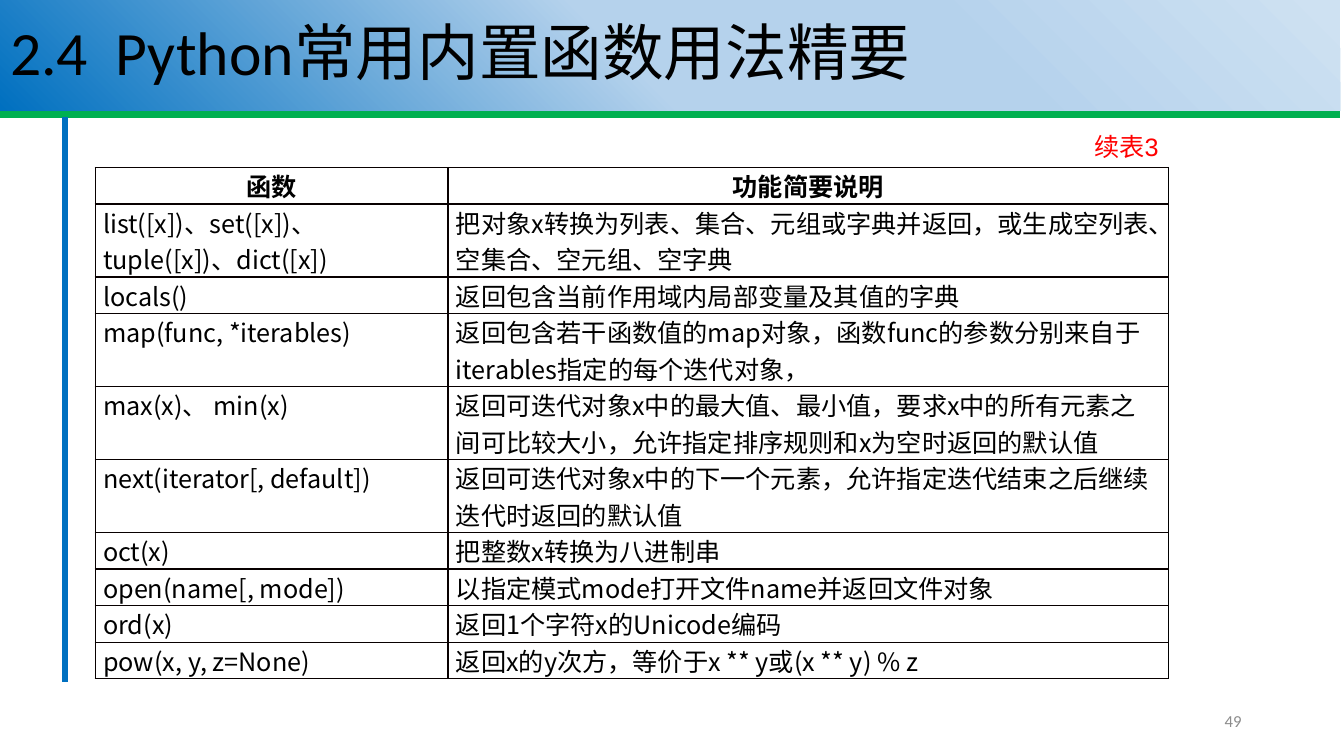
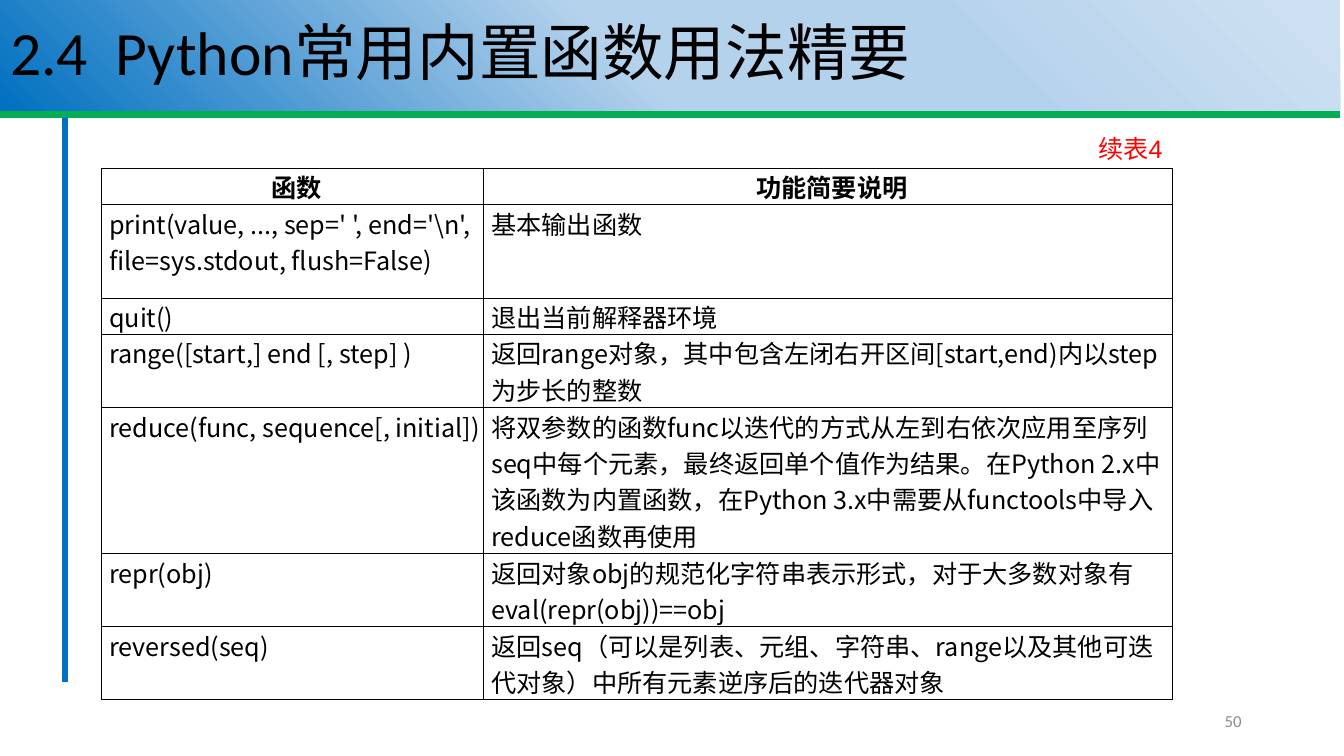
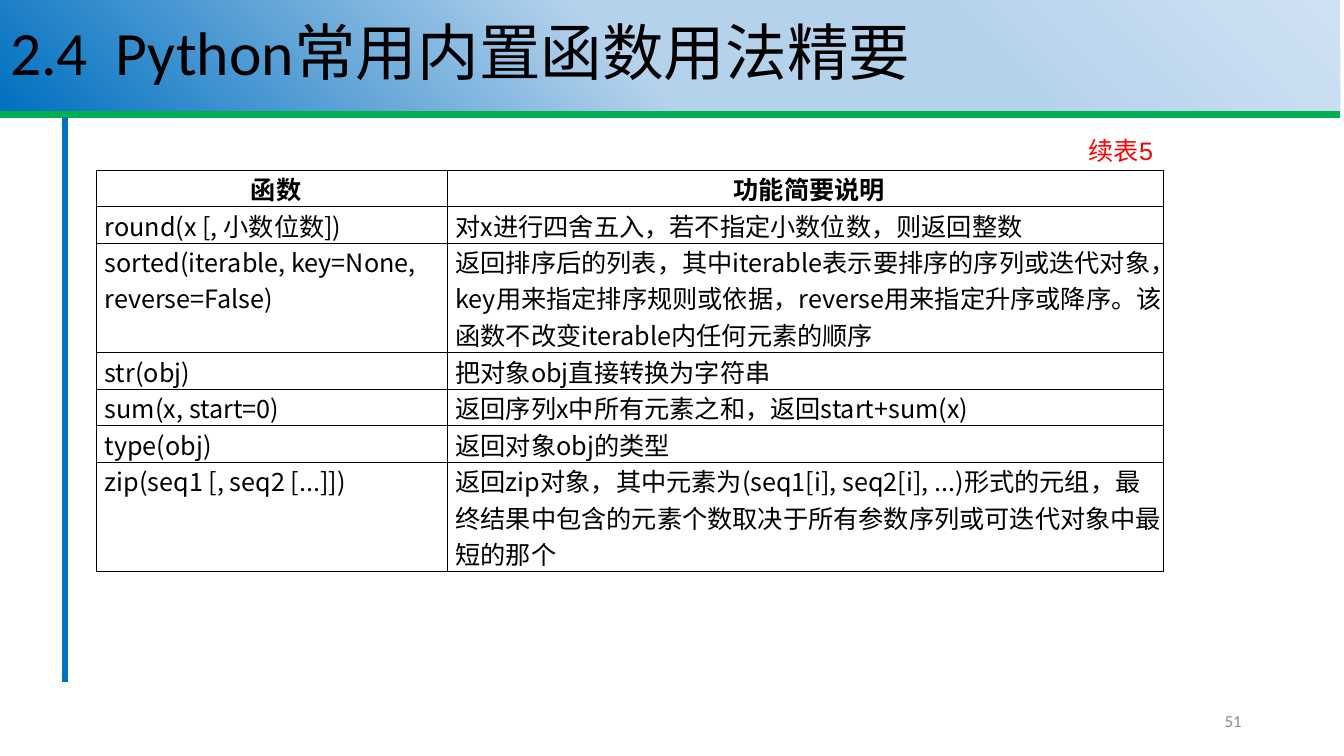
from lxml.etree import SubElement
from pptx import Presentation
from pptx.dml.color import RGBColor
from pptx.enum.shapes import MSO_CONNECTOR
from pptx.enum.text import MSO_ANCHOR, MSO_AUTO_SIZE, PP_ALIGN
from pptx.oxml.ns import qn
from pptx.util import Cm, Pt

CJK_FONT = "Noto Sans CJK SC"
TITLE = "2.4  Python常用内置函数用法精要"
HEADER = ("函数", "功能简要说明")
FIRST_NUMBER = 49
LINE_HEIGHT = 0.92
BAND_STOPS = ((1, "CEE1F2"), (29, "B5D2EC"), (53, "B5D2EC"), (100, "0070C0"))
RULES = (
    ((0, 2.88), (33.78, 2.88), "00B050", 5.25),
    ((1.64, 2.95), (1.64, 17.18), "0070C0", 3.75),
)
TITLE_FONT = {"size": Pt(44), "name": "Calibri", "color": "000000"}
NUMBER_FONT = {"size": Pt(12), "name": "Calibri", "color": "8C8C8C"}
CAPTION_FONT = {"size": Pt(18), "name": "Arial", "color": "FF0000"}
CELL_FONT = {"size": Pt(18), "name": CJK_FONT, "color": "000000", "bold": False}
HEADER_FONT = {**CELL_FONT, "bold": True}

PAGES = (
    {
        "caption": "续表3",
        "caption_top": 3.18,
        "origin": (2.4, 4.22),
        "columns": (8.89, 18.16),
        "line_counts": (1, 2, 1, 2, 2, 2, 1, 1, 1, 1),
        "right_inset": 0.2,
        "rows": (
            ("list([x])、set([x])、tuple([x])、dict([x])",
             "把对象x转换为列表、集合、元组或字典并返回，或生成空列表、空集合、空元组、空字典"),
            ("locals()", "返回包含当前作用域内局部变量及其值的字典"),
            ("map(func, *iterables)",
             "返回包含若干函数值的map对象，函数func的参数分别来自于iterables指定的每个迭代对象，"),
            ("max(x)、 min(x)",
             "返回可迭代对象x中的最大值、最小值，要求x中的所有元素之间可比较大小，"
             "允许指定排序规则和x为空时返回的默认值"),
            ("next(iterator[, default])",
             "返回可迭代对象x中的下一个元素，允许指定迭代结束之后继续迭代时返回的默认值"),
            ("oct(x)", "把整数x转换为八进制串"),
            ("open(name[, mode])", "以指定模式mode打开文件name并返回文件对象"),
            ("ord(x)", "返回1个字符x的Unicode编码"),
            ("pow(x, y, z=None)", "返回x的y次方，等价于x ** y或(x ** y) % z"),
        ),
    },
    {
        "caption": "续表4",
        "caption_top": 3.24,
        "origin": (2.55, 4.24),
        "columns": (9.63, 17.37),
        "line_counts": (1, 2.56, 1, 2, 4, 2, 2),
        "right_inset": 0,
        "rows": (
            ("print(value, ..., sep=' ', end='\\n', file=sys.stdout, flush=False)",
             "基本输出函数"),
            ("quit()", "退出当前解释器环境"),
            ("range([start,] end [, step] )",
             "返回range对象，其中包含左闭右开区间[start,end)内以step为步长的整数"),
            ("reduce(func, sequence[, initial])",
             "将双参数的函数func以迭代的方式从左到右依次应用至序列seq中每个元素，"
             "最终返回单个值作为结果。在Python 2.x中该函数为内置函数，"
             "在Python 3.x中需要从functools中导入reduce函数再使用"),
            ("repr(obj)",
             "返回对象obj的规范化字符串表示形式，对于大多数对象有eval(repr(obj))==obj"),
            ("reversed(seq)",
             "返回seq（可以是列表、元组、字符串、range以及其他可迭代对象）中所有元素逆序后的迭代器对象"),
        ),
    },
    {
        "caption": "续表5",
        "caption_top": 3.29,
        "origin": (2.44, 4.29),
        "columns": (8.84, 18.03),
        "line_counts": (1, 1, 3, 1, 1, 1, 3),
        "right_inset": 0,
        "rows": (
            ("round(x [, 小数位数])", "对x进行四舍五入，若不指定小数位数，则返回整数"),
            ("sorted(iterable, key=None, reverse=False)",
             "返回排序后的列表，其中iterable表示要排序的序列或迭代对象，"
             "key用来指定排序规则或依据，reverse用来指定升序或降序。"
             "该函数不改变iterable内任何元素的顺序"),
            ("str(obj)", "把对象obj直接转换为字符串"),
            ("sum(x, start=0)", "返回序列x中所有元素之和，返回start+sum(x)"),
            ("type(obj)", "返回对象obj的类型"),
            ("zip(seq1 [, seq2 [...]])",
             "返回zip对象，其中元素为(seq1[i], seq2[i], ...)形式的元组，"
             "最终结果中包含的元素个数取决于所有参数序列或可迭代对象中最短的那个"),
        ),
    },
)


def rgb(value):
    return RGBColor.from_string(value)


def set_attributes(target, values):
    for name, value in values.items():
        setattr(target, name, value)


def place(shape, left, top, width, height):
    set_attributes(shape, {"left": Cm(left), "top": Cm(top),
                           "width": Cm(width), "height": Cm(height)})


def write(text_frame, text, font, align=PP_ALIGN.LEFT):
    paragraph = text_frame.paragraphs[0]
    paragraph.alignment = align
    run = paragraph.add_run()
    run.text = text
    for name, value in font.items():
        if name == "color":
            run.font.color.rgb = rgb(value)
        else:
            setattr(run.font, name, value)
    SubElement(run.font._element, qn("a:ea"), typeface=CJK_FONT)
    return paragraph


def add_solid(parent, color):
    solid = SubElement(parent, qn("a:solidFill"))
    SubElement(solid, qn("a:srgbClr"), val=color)


def fill_band(shape):
    gradient = SubElement(shape.element.spPr, qn("a:gradFill"), rotWithShape="1")
    stops = SubElement(gradient, qn("a:gsLst"))
    for position, color in BAND_STOPS:
        stop = SubElement(stops, qn("a:gs"), pos=str(position * 1000))
        SubElement(stop, qn("a:srgbClr"), val=color)
    SubElement(gradient, qn("a:lin"), ang=str(135 * 60000), scaled="0")


def add_layout_rules(slide):
    for number, (start, end, color, weight) in enumerate(RULES):
        rule = slide.shapes.add_connector(
            MSO_CONNECTOR.STRAIGHT, *(Cm(value) for value in start + end))
        rule.line.color.rgb = rgb(color)
        rule.line.width = Pt(weight)
        SubElement(rule.element.spPr, qn("a:effectLst"))
        rule.element.nvCxnSpPr.cNvPr.id = 20 + number
        slide.slide_layout.shapes.element.append(rule.element)


def add_title(slide):
    title = slide.shapes.title
    place(title, 0, 0, 33.78, 2.79)
    fill_band(title)
    set_attributes(title.text_frame, {"vertical_anchor": MSO_ANCHOR.MIDDLE,
                                      "word_wrap": True,
                                      "auto_size": MSO_AUTO_SIZE.NONE})
    write(title.text_frame, TITLE, TITLE_FONT).line_spacing = 0.9


def add_label(slide, text, box, font, anchor):
    label = slide.shapes.add_textbox(*(Cm(value) for value in box))
    set_attributes(label.text_frame, {"word_wrap": True, "vertical_anchor": anchor})
    write(label.text_frame, text, font, PP_ALIGN.RIGHT)


def add_borders(cell, is_last):
    properties = cell._tc.get_or_add_tcPr()
    for side in ("lnL", "lnR", "lnT", "lnB"):
        outer = is_last and side == "lnR"
        width = Pt(0.75 if outer else 1)
        border = SubElement(properties, qn(f"a:{side}"), w=str(width))
        add_solid(border, "000000" if outer else "080000")


def add_function_table(slide, page):
    rows = (HEADER, *page["rows"])
    columns = page["columns"]
    heights = [count * LINE_HEIGHT for count in page["line_counts"]]
    frame = slide.shapes.add_table(
        len(rows), len(columns), *(Cm(value) for value in page["origin"]),
        Cm(sum(columns)), Cm(sum(heights)))
    table = frame.table
    set_attributes(table, {"first_row": False, "horz_banding": False})
    for column, width in zip(table.columns, columns):
        column.width = Cm(width)
    for row_index, (texts, height) in enumerate(zip(rows, heights)):
        table.rows[row_index].height = Cm(height)
        font, align = ((CELL_FONT, PP_ALIGN.LEFT) if row_index
                       else (HEADER_FONT, PP_ALIGN.CENTER))
        for column_index, text in enumerate(texts):
            cell = table.cell(row_index, column_index)
            set_attributes(cell, {"margin_left": Cm(0.2), "margin_top": 0,
                                  "margin_right": Cm(page["right_inset"]),
                                  "margin_bottom": 0})
            add_borders(cell, column_index == len(columns) - 1)
            cell.fill.background()
            write(cell.text_frame, text, font, align)


def add_caption(slide, page):
    width = 3.66
    left = page["origin"][0] + sum(page["columns"]) - width
    box = (left, page["caption_top"], width, 1.02)
    add_label(slide, page["caption"], box, CAPTION_FONT, MSO_ANCHOR.TOP)


def main():
    presentation = Presentation()
    set_attributes(presentation, {"slide_width": Cm(33.87), "slide_height": Cm(19.05)})
    layout = presentation.slide_layouts[5]
    for number, page in enumerate(PAGES, FIRST_NUMBER):
        slide = presentation.slides.add_slide(layout)
        if number == FIRST_NUMBER:
            add_layout_rules(slide)
        add_title(slide)
        add_label(slide, str(number), (23.92, 17.65, 7.62, 1.02),
                  NUMBER_FONT, MSO_ANCHOR.MIDDLE)
        add_function_table(slide, page)
        add_caption(slide, page)
    presentation.save("out.pptx")


if __name__ == "__main__":
    main()
